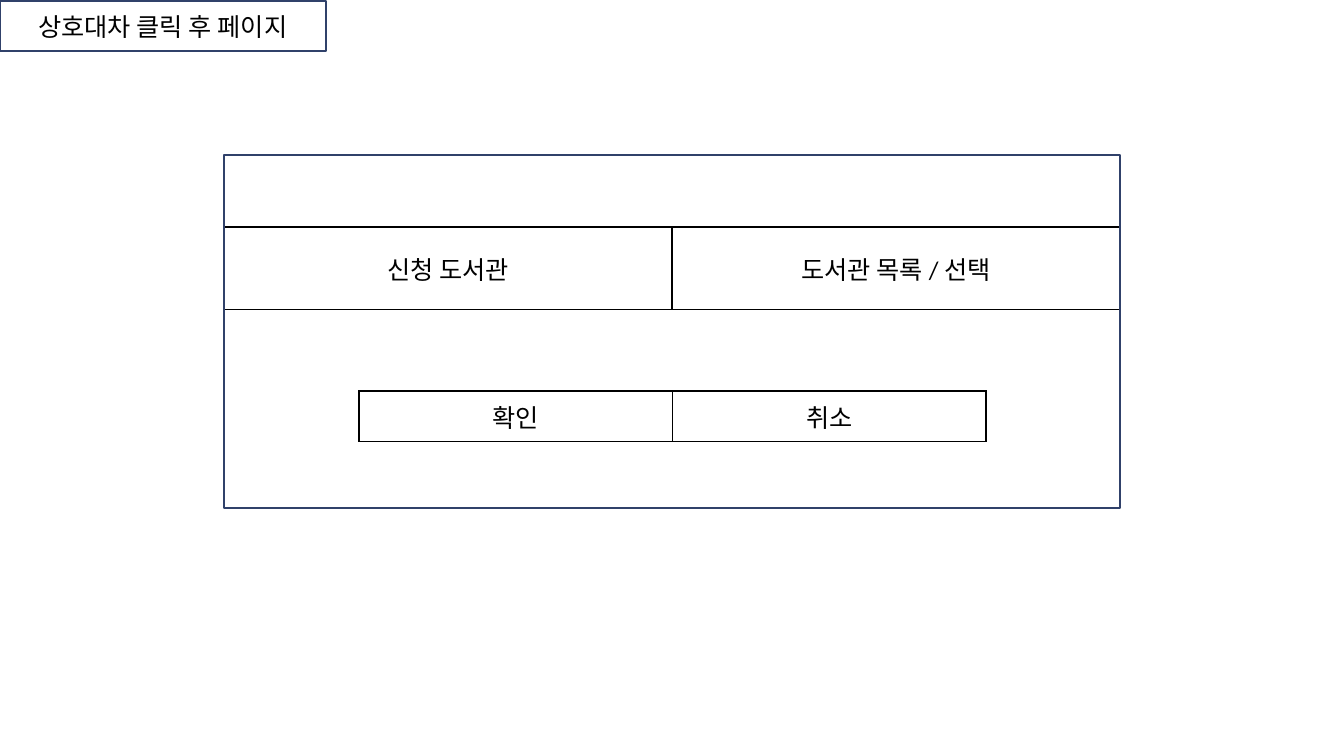
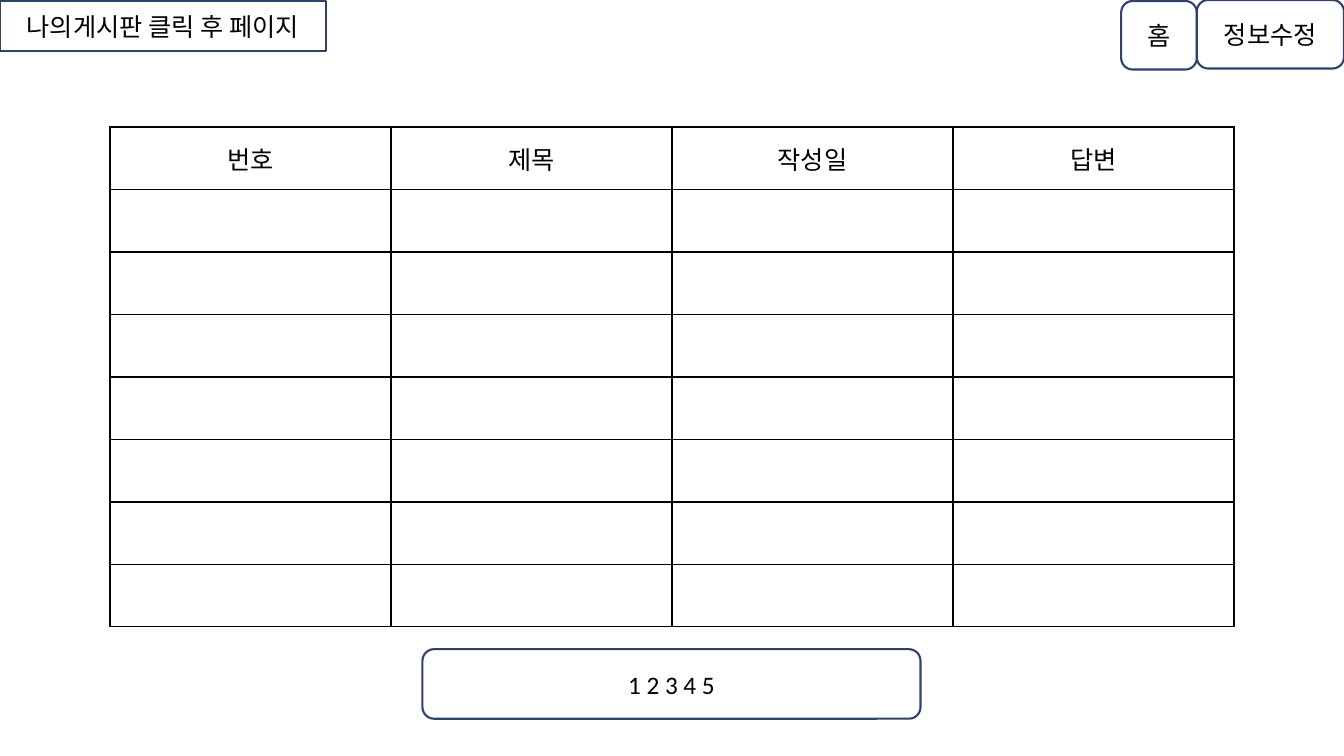
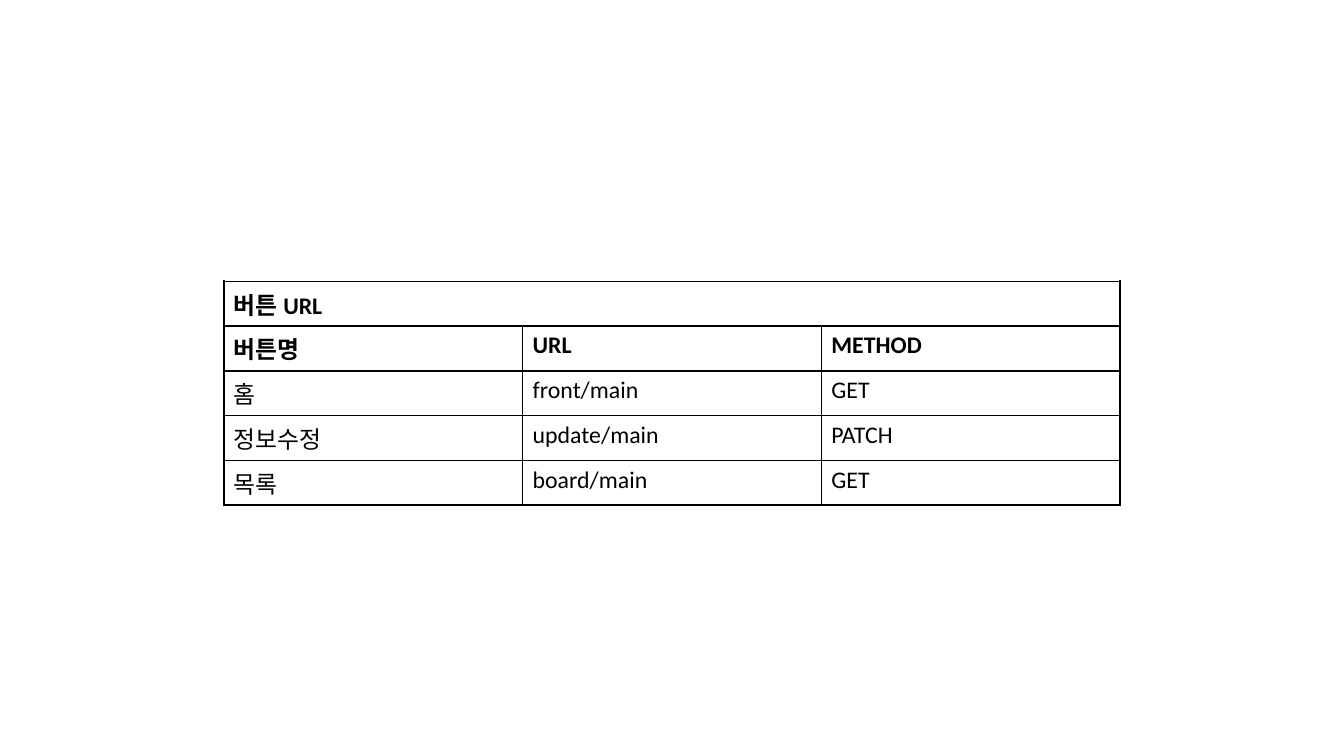
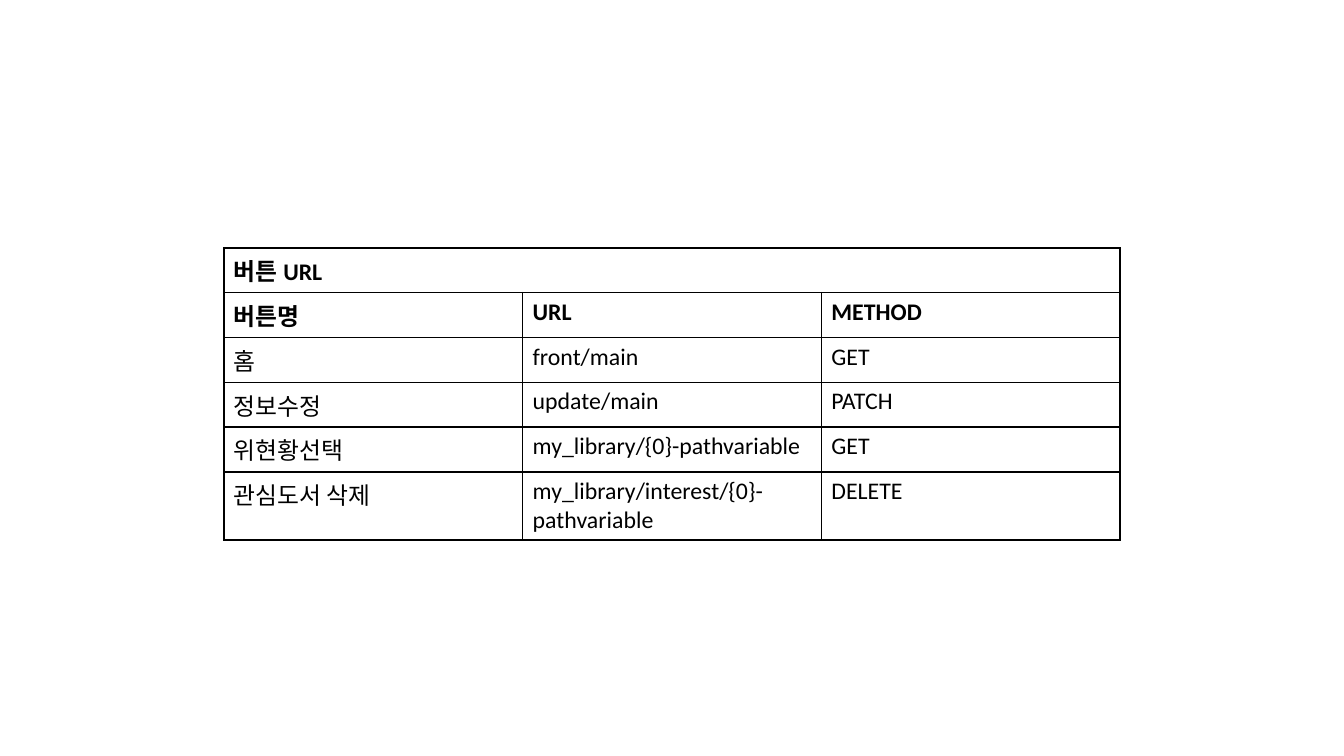
"""Build four wireframe slides for a library site: two pages and two button URL tables."""
from lxml.etree import SubElement
from pptx import Presentation
from pptx.dml.color import RGBColor
from pptx.enum.shapes import MSO_SHAPE as SHAPE
from pptx.enum.text import MSO_ANCHOR as ANCHOR, PP_ALIGN as ALIGN
from pptx.oxml.ns import qn
from pptx.util import Inches, Pt

FONT = "Calibri"
BLACK, WHITE, NAVY = "000000", "FFFFFF", "30416A"
LABEL_AREA = (0, 0.01, 3.23, 0.5)
URL_LEFT, URL_WIDTH, URL_ROW = 2.22, 8.89, 0.44


def write(text_frame, text, size=18, bold=False, align=ALIGN.CENTER):
    """Put one styled paragraph in a text frame."""
    text_frame.text = text
    paragraph = text_frame.paragraphs[0]
    paragraph.alignment = align
    for run in paragraph.runs:
        run.font.name = FONT
        run.font.size = Pt(size)
        run.font.bold = bold
        run.font.color.rgb = RGBColor.from_string(BLACK)


def add_grid(slide, left, top, width, row_height, rows, columns):
    """Add a white table with equal cells and thin black borders."""
    frame = slide.shapes.add_table(rows, columns, Inches(left), Inches(top),
                                   Inches(width), Inches(row_height * rows))
    table = frame.table
    table.first_row = table.horz_banding = False
    for row in table.rows:
        row.height = Inches(row_height)
    for cell in table.iter_cells():
        properties = cell._tc.get_or_add_tcPr()
        for side in ("a:lnL", "a:lnR", "a:lnT", "a:lnB"):
            border = SubElement(properties, qn(side), w=str(Pt(1.2)))
            SubElement(SubElement(border, qn("a:solidFill")), qn("a:srgbClr"), val=BLACK)
        cell.fill.solid()
        cell.fill.fore_color.rgb = RGBColor.from_string(WHITE)
    return table


presentation = Presentation()
presentation.slide_width = Inches(13.33)
presentation.slide_height = Inches(7.5)
blank = presentation.slide_layouts[6]
loan_slide, board_slide, board_urls, library_urls = [
    presentation.slides.add_slide(blank) for _ in range(4)]

library_table = add_grid(loan_slide, 2.22, 2.25, 8.89, 0.41, 2, 2)
for column in range(2):
    library_table.cell(0, column).merge(library_table.cell(1, column))
button_table = add_grid(loan_slide, 3.56, 3.88, 6.22, 0.5, 1, 2)
post_table = add_grid(board_slide, 1.09, 1.26, 11.15, 0.62, 8, 4)

headers = [
    (library_table, ["신청 도서관", "도서관 목록 / 선택"]),
    (button_table, ["확인", "취소"]),
    (post_table, ["번호", "제목", "작성일", "답변"]),
]
for table, names in headers:
    for column, name in enumerate(names):
        cell = table.cell(0, column)
        cell.vertical_anchor = ANCHOR.MIDDLE
        write(cell.text_frame, name)

boxes = [
    (loan_slide, SHAPE.RECTANGLE, LABEL_AREA, "상호대차 클릭 후 페이지"),
    (loan_slide, SHAPE.RECTANGLE, (2.22, 1.54, 8.89, 3.5), ""),
    (board_slide, SHAPE.RECTANGLE, LABEL_AREA, "나의게시판 클릭 후 페이지"),
    (board_slide, SHAPE.ROUNDED_RECTANGLE, (11.87, 0, 1.46, 0.68), "정보수정"),
    (board_slide, SHAPE.ROUNDED_RECTANGLE, (11.12, 0.01, 0.75, 0.68), "홈"),
    (board_slide, SHAPE.ROUNDED_RECTANGLE, (4.19, 6.44, 4.94, 0.69), "1 2 3 4 5"),
]
for slide, kind, area, text in boxes:
    shape = slide.shapes.add_shape(kind, *[Inches(length) for length in area])
    shape.shadow.inherit = False
    shape.fill.background()
    shape.line.color.rgb = RGBColor.from_string(NAVY)
    shape.line.width = Pt(1.5)
    shape.text_frame.vertical_anchor = ANCHOR.MIDDLE
    if text:
        write(shape.text_frame, text)

shared_rows = [
    ("버튼 URL",),
    ("버튼명", "URL", "METHOD"),
    ("홈", "front/main", "GET"),
    ("정보수정", "update/main", "PATCH"),
]
url_tables = [
    (board_urls, 2.79, [("목록", "board/main", "GET")]),
    (library_urls, 2.46, [
        ("위현황선택", "my_library/{0}-pathvariable", "GET"),
        ("관심도서 삭제", "my_library/interest/{0}-pathvariable", "DELETE"),
    ]),
]
for slide, top, own_rows in url_tables:
    rows = shared_rows + own_rows
    table = add_grid(slide, URL_LEFT, top, URL_WIDTH, URL_ROW, len(rows), 3)
    table.cell(0, 0).merge(table.cell(0, 2))
    for row, values in enumerate(rows):
        for column, value in enumerate(values):
            write(table.cell(row, column).text_frame, value, 17, row < 2, ALIGN.LEFT)

presentation.save("out.pptx")
